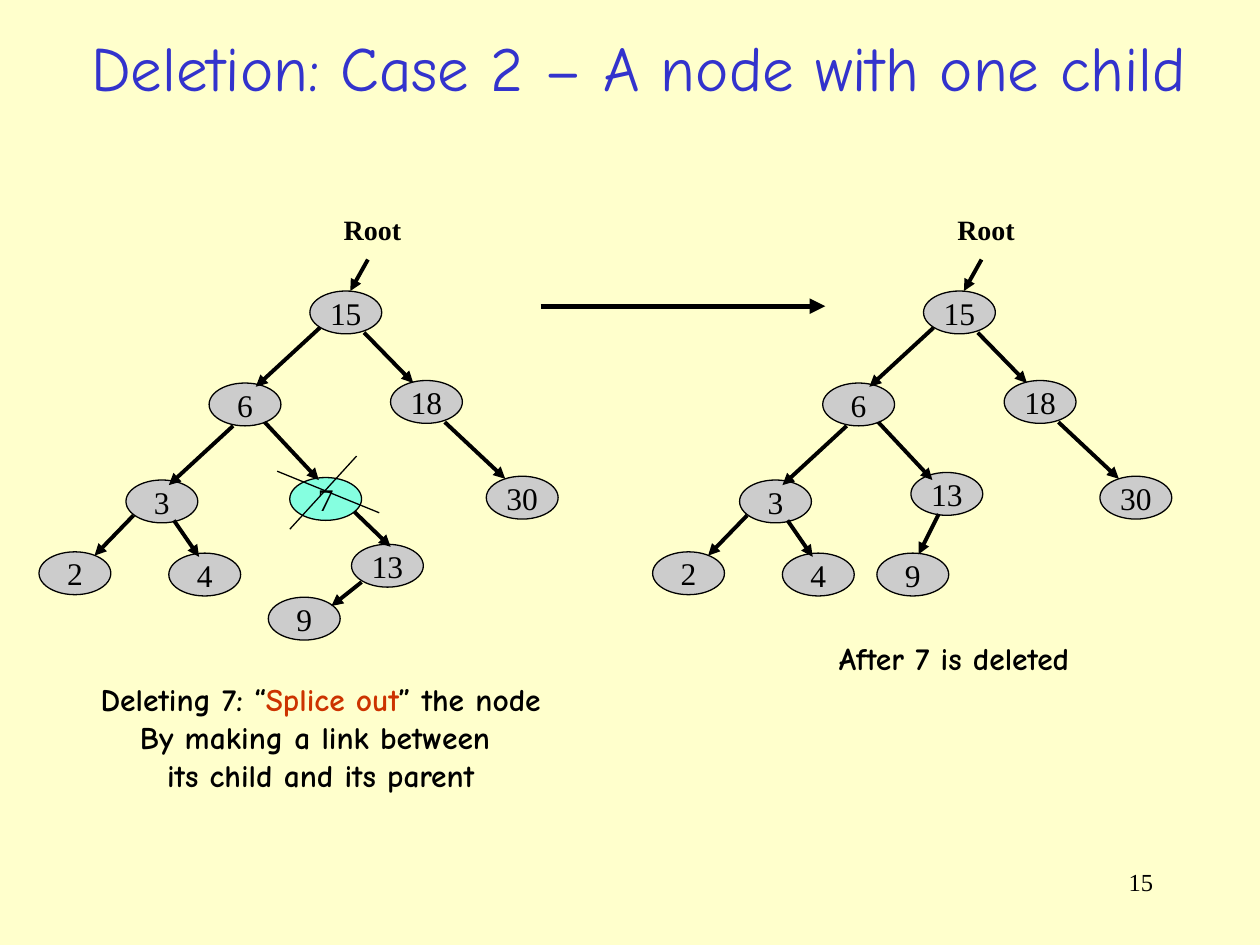
import pptx
import pptx.util
import pptx.dml.color
import pptx.enum.shapes
import pptx.enum.text
from lxml import etree

SCALE = 9144
SERIF, HAND = "Times New Roman", "Comic Neue"
BLACK, GRAY, MINT = "000000", "CCCCCC", "85FFE0"
ALIGN = pptx.enum.text.PP_ALIGN
ANCHOR = pptx.enum.text.MSO_ANCHOR
FIT = pptx.enum.text.MSO_AUTO_SIZE
NODES = [("15", 215, 67), ("6", 135, 140), ("18", 279, 138), ("30", 355, 214),
         ("3", 69, 217), ("2", 0, 274), ("4", 103, 275)]
EDGES = [(261, 42, 247, 67), (223, 96, 172, 143), (258, 100, 297, 140),
         (322, 171, 370, 216), (154, 174, 103, 221), (179, 171, 222, 217),
         (75, 245, 44, 277), (107, 249, 127, 278)]


def px(*nums):
    """Turn px lengths into a list of EMU."""
    return [pptx.util.Emu(n * SCALE) for n in nums]


def paint(fmt, hexa):
    """Give a fill or line format a solid colour."""
    fill = fmt.fill if hasattr(fmt, "fill") else fmt
    fill.solid()
    fill.fore_color.rgb = pptx.dml.color.RGBColor.from_string(hexa)


def write(frame, lines, size, face, align, bold=False):
    """Write lines, each a list of (text, colour) runs, into a frame."""
    for i, line in enumerate(lines):
        para = frame.add_paragraph() if i else frame.paragraphs[0]
        para.alignment = align
        for text, hexa in line:
            run = para.add_run()
            run.text = text
            run.font.size = pptx.util.Pt(size)
            run.font.name = face
            run.font.bold = bold
            paint(run.font, hexa)


def label(shapes, box, lines, size, face, align=ALIGN.LEFT, bold=True, grow=True):
    """Add a text box that grows with its text or else wraps."""
    frame = shapes.add_textbox(*px(*box)).text_frame
    frame.word_wrap = not grow
    frame.auto_size = FIT.SHAPE_TO_FIT_TEXT if grow else FIT.NONE
    write(frame, lines, size, face, align, bold)


def node(shapes, text, left, top, hexa=GRAY):
    """Add one oval tree node."""
    oval = shapes.add_shape(pptx.enum.shapes.MSO_SHAPE.OVAL, *px(left, top, 57, 34))
    oval.shadow.inherit = False
    paint(oval.fill, hexa)
    paint(oval.line, BLACK)
    oval.line.width = pptx.util.Pt(0.75)
    frame = oval.text_frame
    frame.word_wrap = False
    frame.vertical_anchor = ANCHOR.MIDDLE
    write(frame, [[(text, BLACK)]], 18, SERIF, ALIGN.CENTER)


def link(shapes, ends, width=2.25, arrow=True):
    """Add a straight line, with an arrowhead if asked."""
    line = shapes.add_connector(pptx.enum.shapes.MSO_CONNECTOR.STRAIGHT, *px(*ends))
    paint(line.line, BLACK)
    line.line.width = pptx.util.Pt(width)
    space = "{http://schemas.openxmlformats.org/drawingml/2006/main}"
    props = line.element.spPr
    if arrow:
        etree.SubElement(props.find(space + "ln"), space + "tailEnd", type="triangle")
    etree.SubElement(props, space + "effectLst")


def tree(shapes, left, top, nodes, edges):
    """Draw the shared tree and its extra nodes and edges at a corner."""
    label(shapes, (left + 232, top, 67, 37), [[("Root", BLACK)]], 16, SERIF)
    for text, x, y, *hexa in NODES + nodes:
        node(shapes, text, left + x, top + y, *hexa)
    for x, y, x2, y2 in EDGES + edges:
        link(shapes, (left + x, top + y, left + x2, top + y2))


def before(shapes, left, top):
    """Draw the tree with node 7 crossed out and its caption."""
    tree(shapes, left, top,
         [("7", 199, 215, MINT), ("13", 248, 268), ("9", 182, 310)],
         [(250, 242, 279, 270), (256, 298, 232, 317)])
    for x, y, x2, y2 in [(252, 198, 199, 256), (189, 210, 270, 243)]:
        link(shapes, (left + x, top + y, left + x2, top + y2), 0.75, False)
    label(shapes, (left + 39, top + 371, 369, 100),
          [[("Deleting 7: “", BLACK), ("Splice out", "CC3300"), ("” the node", BLACK)],
           [("By making a link between ", BLACK)],
           [("its child and its parent", BLACK)]], 18, HAND, ALIGN.CENTER)


def after(shapes, left, top):
    """Draw the tree without node 7 and its caption."""
    tree(shapes, left, top, [("13", 205, 211), ("9", 178, 275)],
         [(227, 244, 211, 276)])
    label(shapes, (left + 138, top + 338, 204, 40),
          [[("After 7 is deleted", BLACK)]], 18, HAND)


def head(title, box):
    """Place and format the title."""
    title.left, title.top, title.width, title.height = px(*box)
    title.text_frame.vertical_anchor = ANCHOR.MIDDLE
    write(title.text_frame, [[("Deletion: Case 2 – A node with one child", "3333CC")]],
          36, HAND, ALIGN.CENTER)


def main():
    """Build and save the slide."""
    deck = pptx.Presentation()
    deck.slide_width, deck.slide_height = px(1000, 750)
    slide = deck.slides.add_slide(deck.slide_layouts[5])
    paint(slide.background.fill, "FFFFCC")
    shapes = slide.shapes
    head(shapes.title, (30, 15, 954, 76))
    before(shapes, 31, 164)
    after(shapes.add_group_shape().shapes, 518, 164)
    link(shapes, (429, 243, 655, 243), 3)
    label(shapes, (717, 683, 208, 50), [[("15", BLACK)]], 14, SERIF,
          ALIGN.RIGHT, False, False)
    deck.save("out.pptx")


if __name__ == "__main__":
    main()
